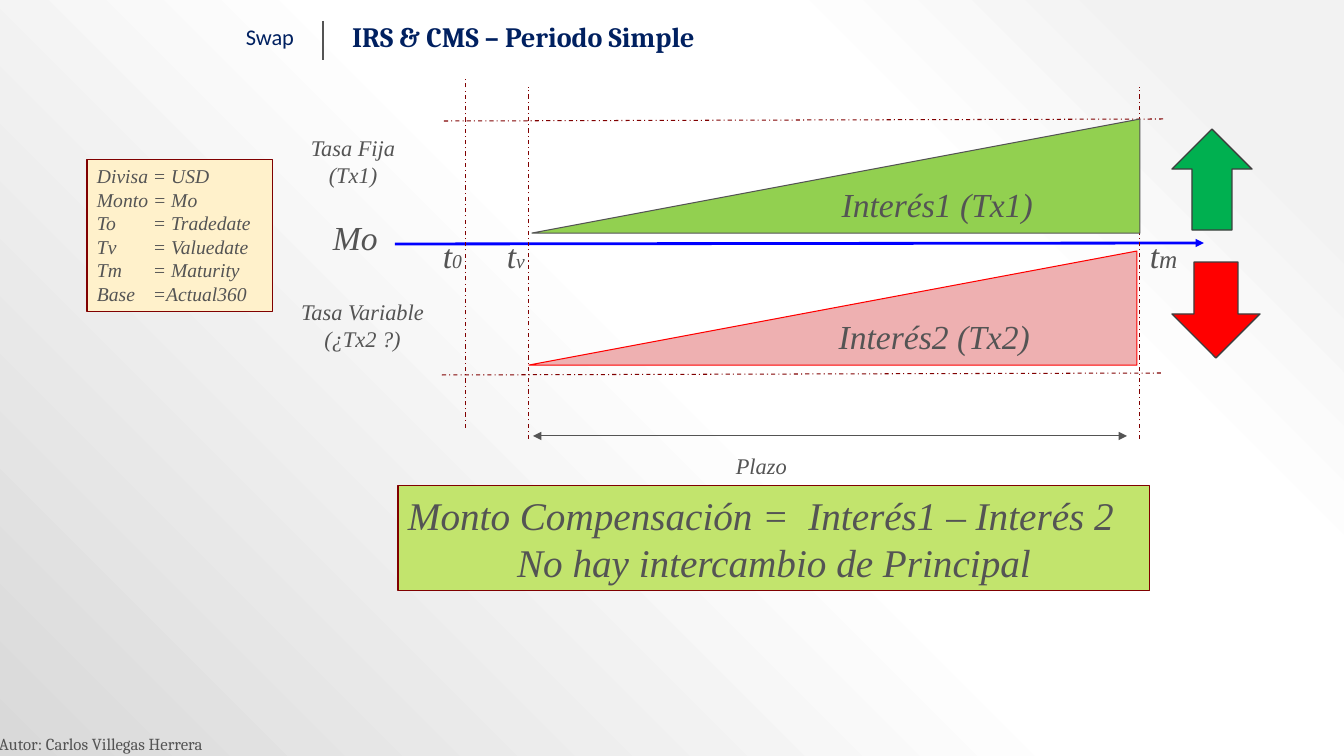
import pptx
import pptx.util
import pptx.dml.color
import pptx.enum.dml
import pptx.enum.shapes
import pptx.enum.text
import pptx.oxml
import pptx.oxml.ns
import lxml.etree

THEME = {
    "ink": "545454", "navy": "002060", "maroon": "800000", "blue": "0000FF",
    "cream": "FFF1CB", "lime": "C2E46D", "green": "92D050", "pink": "EEB0B1",
    "red": "FF0000", "up": "00B050", "outline": "3E3E3E",
    "serif": "Times New Roman", "heading": "Cambria", "sans": "Calibri",
    "backdrop": [(10, "F2F2F2"), (28, "FFFFFF"), (48, "FFFFFF"), (100, "D9D9D9")],
    "credit": 12, "small": 14, "label": 16, "index": 18, "title": 20, "symbol": 24, "result": 28,
}
EMU_PER_PX = 914400 / 100.8
SHAPE = pptx.enum.shapes.MSO_SHAPE
ALIGN = pptx.enum.text.PP_ALIGN
ANCHOR = pptx.enum.text.MSO_ANCHOR
rgb = pptx.dml.color.RGBColor.from_string


def emu(*pixels):
    return [round(p * EMU_PER_PX) for p in pixels]


def write(shape, text, size=THEME["label"], font=THEME["serif"], color=THEME["ink"], italic=True,
          bold=False, align=ALIGN.LEFT, anchor=ANCHOR.TOP, wrap=False, index="", index_size=None):
    """Write the lines of text, with an optional smaller index after the last one."""
    frame = shape.text_frame
    frame.word_wrap = wrap
    frame.auto_size = pptx.enum.text.MSO_AUTO_SIZE.NONE
    frame.vertical_anchor = anchor
    frame.text = text
    for paragraph in frame.paragraphs:
        paragraph.alignment = align
    if index:
        frame.paragraphs[-1].add_run().text = index
    for paragraph in frame.paragraphs:
        for run in paragraph.runs:
            run.font.name, run.font.color.rgb = font, rgb(color)
            run.font.size = pptx.util.Pt(size)
            run.font.italic, run.font.bold = italic, bold
    if index:
        frame.paragraphs[-1].runs[-1].font.size = pptx.util.Pt(index_size)
    return frame


deck = pptx.Presentation()
deck.slide_width, deck.slide_height = emu(1344, 756)
slide = deck.slides.add_slide(deck.slide_layouts[5])
shapes = slide.shapes

# Background gradient, spreading from the top right corner
stops = "".join(f'<a:gs pos="{pos * 1000}"><a:srgbClr val="{color}"/></a:gs>'
                for pos, color in THEME["backdrop"])
slide.element.cSld.insert(0, pptx.oxml.parse_xml(
    f'<p:bg {pptx.oxml.ns.nsdecls("p", "a")}><p:bgPr><a:gradFill rotWithShape="1">'
    f'<a:gsLst>{stops}</a:gsLst><a:path path="circle">'
    '<a:fillToRect l="100000" b="100000"/></a:path></a:gradFill><a:effectLst/></p:bgPr></p:bg>'))

# Heading
title = shapes.title
title.left, title.top, title.width, title.height = emu(342, 13, 497, 47)
write(title, "IRS & CMS – Periodo Simple", size=THEME["title"], font=THEME["heading"],
      color=THEME["navy"], italic=False, bold=True, anchor=ANCHOR.MIDDLE, wrap=True)
topic = shapes.add_textbox(*emu(37, 13, 267, 47))
write(topic, "Swap", font=THEME["sans"], color=THEME["navy"], italic=False,
      align=ALIGN.RIGHT, anchor=ANCHOR.MIDDLE, wrap=True)

# Lines: ends, colour, width, dashed, arrow ends
guide = (THEME["maroon"], 0.75, True, [])
lines = [
    ((323, 21, 323, 60), THEME["ink"], 1.5, False, []),
    ((395, 244, 1204, 243), THEME["blue"], 2, False, ["tailEnd"]),
    ((533, 436, 1127, 436), THEME["ink"], 0.75, False, ["headEnd", "tailEnd"]),
    ((444, 121, 1164, 119), *guide),
    ((442, 375, 1161, 373), *guide),
    ((466, 428, 466, 77), *guide),
    ((529, 439, 529, 87), *guide),
    ((1140, 439, 1140, 87), *guide),
]
for ends, color, width, dashed, arrow_ends in lines:
    line = shapes.add_connector(pptx.enum.shapes.MSO_CONNECTOR.STRAIGHT, *emu(*ends))
    line.line.color.rgb = rgb(color)
    line.line.width = pptx.util.Pt(width)
    if dashed:
        line.line.dash_style = pptx.enum.dml.MSO_LINE.DASH_DOT
    for end in arrow_ends:
        lxml.etree.SubElement(line.line._get_or_add_ln(), pptx.oxml.ns.qn(f"a:{end}"), type="triangle")
    lxml.etree.SubElement(line._element.spPr, pptx.oxml.ns.qn("a:effectLst"))

# Filled shapes: preset, box, fill, outline, outline width
filled = [
    (SHAPE.RECTANGLE, (87, 159, 186, 153), "cream", "maroon", 0.75),
    (SHAPE.RIGHT_TRIANGLE, (532, 119, 608, 114), "green", "ink", 0.75),
    (SHAPE.RIGHT_TRIANGLE, (529, 251, 608, 114), "pink", "red", 0.75),
    (SHAPE.RECTANGLE, (398, 486, 752, 105), "lime", "maroon", 0.75),
    (SHAPE.DOWN_ARROW, (1172, 262, 88, 96), "red", "outline", 1),
    (SHAPE.UP_ARROW, (1172, 129, 80, 101), "up", "outline", 1),
]
parts = []
for preset, box, fill, outline, width in filled:
    part = shapes.add_shape(preset, *emu(*box))
    part.shadow.inherit = False
    part.fill.solid()
    part.fill.fore_color.rgb = rgb(THEME[fill])
    part.line.color.rgb = rgb(THEME[outline])
    part.line.width = pptx.util.Pt(width)
    parts.append(part)
definitions, fixed_interest, floating_interest, settlement = parts[:4]

# Definitions, with the equals signs on a tab stop
terms = write(definitions, "Divisa = USD\nMonto = Mo\nTo\t= Tradedate\nTv\t= Valuedate\n"
              "Tm\t= Maturity\nBase\t=Actual360", size=THEME["small"], wrap=True)
for paragraph in terms.paragraphs[2:]:
    tabs = lxml.etree.SubElement(paragraph._p.get_or_add_pPr(), pptx.oxml.ns.qn("a:tabLst"))
    lxml.etree.SubElement(tabs, pptx.oxml.ns.qn("a:tab"), pos=str(emu(56)[0]), algn="l")

# Interest triangles, rising to the right
for triangle, name in [(fixed_interest, "Interés1 (Tx1)"), (floating_interest, "Interés2 (Tx2)")]:
    triangle._element.spPr.xfrm.set("flipH", "1")
    write(triangle, name, size=THEME["symbol"], align=ALIGN.CENTER, anchor=ANCHOR.MIDDLE)

# Settlement rule
rule = write(settlement, "Monto Compensación =  Interés1 – Interés 2\nNo hay intercambio de Principal",
             size=THEME["result"], align=ALIGN.CENTER, wrap=True)
rule.paragraphs[0].alignment = ALIGN.LEFT

# Labels around the time axis
symbol = {"size": THEME["symbol"]}
centred = {"align": ALIGN.CENTER}
labels = [
    ((433, 230, 39, 50), "t", {**symbol, "index": "0", "index_size": THEME["small"]}),
    ((497, 230, 38, 50), "t", {**symbol, "index": "v", "index_size": THEME["small"]}),
    ((1140, 230, 48, 50), "t", {**symbol, "index": "m", "index_size": THEME["index"]}),
    ((323, 212, 66, 50), "Mo", symbol),
    ((726, 447, 72, 37), "Plazo", {}),
    ((300, 129, 106, 65), "Tasa Fija\n(Tx1)", centred),
    ((290, 293, 145, 65), "Tasa Variable\n(¿Tx2 ?)", centred),
    ((-11, 729, 237, 30), "Autor: Carlos Villegas Herrera",
     {"size": THEME["credit"], "font": THEME["heading"], "italic": False}),
]
for box, text, style in labels:
    write(shapes.add_textbox(*emu(*box)), text, **style)

deck.save("out.pptx")
